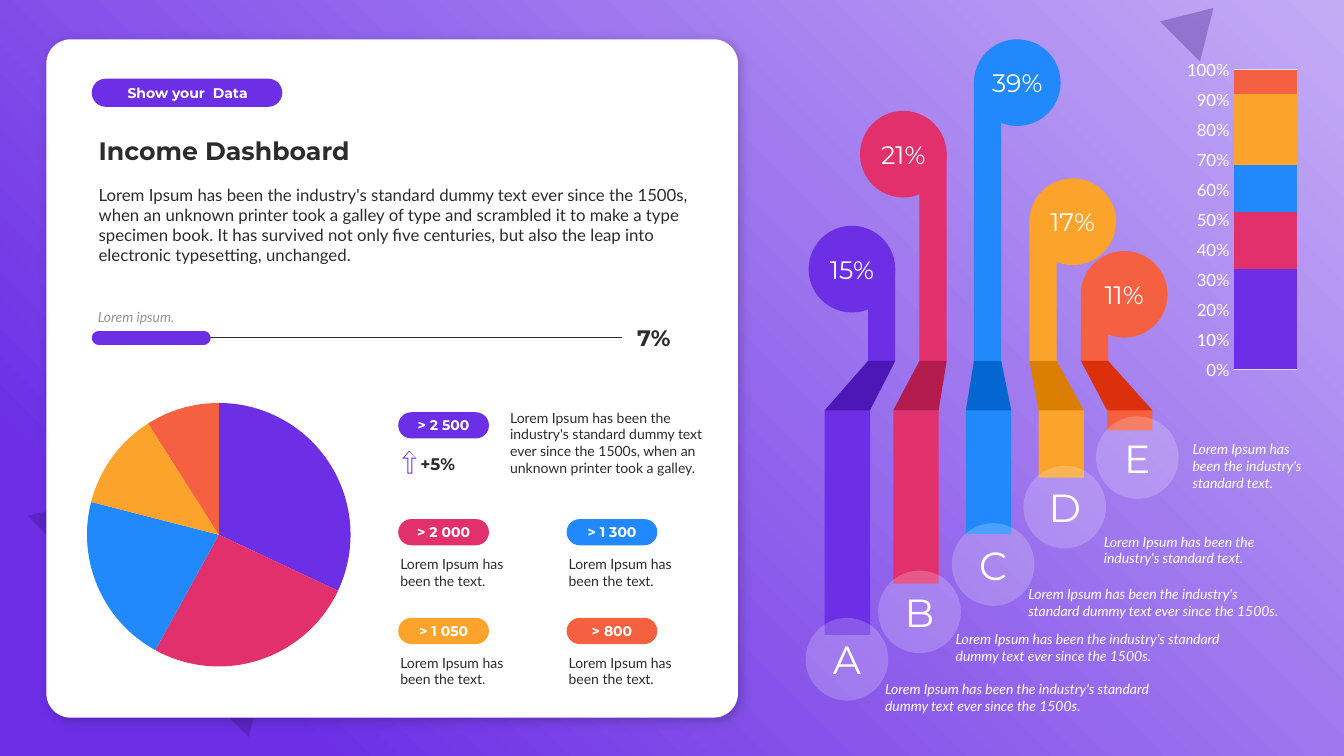
from dataclasses import dataclass

import pptx
import pptx.chart.data
import pptx.dml.color
import pptx.enum.chart
import pptx.enum.shapes
import pptx.enum.text
import pptx.oxml
import pptx.oxml.ns
import pptx.util

Inches = pptx.util.Inches
Pt = pptx.util.Pt
Shapes = pptx.enum.shapes.MSO_SHAPE
Anchor = pptx.enum.text.MSO_ANCHOR
Align = pptx.enum.text.PP_ALIGN
ChartType = pptx.enum.chart.XL_CHART_TYPE
qn = pptx.oxml.ns.qn

WHITE, DARK, GRAY = "FFFFFF", "2C2C2C", "969696"
PURPLE, PINK, BLUE, ORANGE, RED = "6C2FE5", "E1306C", "2189FB", "FCA32C", "F56040"
PALETTE = [PURPLE, PINK, BLUE, ORANGE, RED]
DEFAULT_INSETS = (0.1, 0.05, 0.1, 0.05)
NO_SIDE_INSETS = (0, 0.05, 0, 0.05)
SHORT_TEXT = "Lorem Ipsum has been the text."
DUMMY_TEXT = "Lorem Ipsum has been the industry's standard dummy text ever since the 1500s."
STANDARD_TEXT = "Lorem Ipsum has been the industry's standard text."
FOLD_TOP, FOLD_BOTTOM = 3.58, 4.07
UPPER_WIDTH, LOWER_WIDTH, BUBBLE, DISC = 0.27, 0.45, 0.86, 0.82


@dataclass
class Style:
    size: float
    font: str = "Lato"
    color: str = DARK
    bold: bool = False
    italic: bool = False


@dataclass
class Badge:
    label: str
    color: str
    left: float
    top: float


@dataclass
class Ribbon:
    letter: str
    percent: str
    color: str
    fold_color: str
    upper_left: float
    upper_top: float
    lower_left: float
    lower_bottom: float
    bubble: tuple[float, float]
    disc: tuple[float, float]
    note: str
    note_box: tuple[float, float, float, float]


BADGES = [
    Badge("> 2 500", PURPLE, 3.95, 4.09),
    Badge("> 2 000", PINK, 3.95, 5.15),
    Badge("> 1 300", BLUE, 5.62, 5.15),
    Badge("> 1 050", ORANGE, 3.95, 6.13),
    Badge("> 800", RED, 5.62, 6.13),
]
RIBBONS = [
    Ribbon("A", "15%", PURPLE, "4D17B8", 8.61, 2.67, 8.18, 6.3, (8.02, 2.24),
           (7.99, 6.13), DUMMY_TEXT, (8.68, 6.7, 3.05, 0.44)),
    Ribbon("B", "21%", PINK, "B31A4E", 9.12, 1.51, 8.86, 5.79, (8.53, 1.1),
           (8.71, 5.66), DUMMY_TEXT, (9.38, 6.21, 3.05, 0.44)),
    Ribbon("C", "39%", BLUE, "0466D1", 9.66, 0.83, 9.58, 5.3, (9.66, 0.39),
           (9.44, 5.19), DUMMY_TEXT, (10.1, 5.76, 2.71, 0.44)),
    Ribbon("D", "17%", ORANGE, "DB7F03", 10.21, 2.18, 10.3, 4.74, (10.21, 1.77),
           (10.15, 4.62), STANDARD_TEXT, (10.85, 5.24, 1.95, 0.44)),
    Ribbon("E", "11%", RED, "DC300C", 10.72, 2.86, 10.98, 4.27, (10.72, 2.49),
           (10.87, 4.13), STANDARD_TEXT, (11.73, 4.32, 1.43, 0.61)),
]


def rgb(color: str):
    return pptx.dml.color.RGBColor.from_string(color)


def drawing_xml(content: str):
    namespace = pptx.oxml.ns.nsdecls("a")
    return pptx.oxml.parse_xml(content.replace(">", f" {namespace}>", 1))


def paint(shape, color: str, opacity: int = 100) -> None:
    shape.shadow.inherit = False
    shape.fill.solid()
    shape.fill.fore_color.rgb = rgb(color)
    shape.line.fill.background()
    if opacity < 100:
        tone = shape.element.spPr.find(".//" + qn("a:srgbClr"))
        tone.append(drawing_xml(f'<a:alpha val="{opacity * 1000}"></a:alpha>'))


def style_font(font, style: Style) -> None:
    font.size, font.name = Pt(style.size), style.font
    font.bold, font.italic = style.bold, style.italic
    font.color.rgb = rgb(style.color)


def write(shape, text: str, style: Style, align=Align.LEFT, anchor=Anchor.TOP,
          insets=DEFAULT_INSETS, space_after: float = 0) -> None:
    frame = shape.text_frame
    frame.text = text
    frame.word_wrap = True
    frame.vertical_anchor = anchor
    (frame.margin_left, frame.margin_top,
     frame.margin_right, frame.margin_bottom) = map(Inches, insets)
    paragraph = frame.paragraphs[0]
    paragraph.alignment = align
    paragraph.space_after = Pt(space_after)
    style_font(paragraph.runs[0].font, style)


def add_text(slide, box, text: str, style: Style, **layout) -> None:
    shape = slide.shapes.add_textbox(*map(Inches, box))
    write(shape, text, style, **layout)
    shape.text_frame.auto_size = pptx.enum.text.MSO_AUTO_SIZE.SHAPE_TO_FIT_TEXT


def add_preset(slide, kind, box, color: str, opacity: int = 100, rotation: float = 0,
               corner: float | None = None):
    shape = slide.shapes.add_shape(kind, *map(Inches, box))
    paint(shape, color, opacity)
    shape.rotation = rotation
    if corner is not None:
        shape.adjustments[0] = corner
    return shape


def add_outline(slide, contours, color: str) -> None:
    # The builder rounds its units, so points are passed in EMU
    contours = [[(Inches(x), Inches(y)) for x, y in points] for points in contours]
    builder = slide.shapes.build_freeform(*contours[0][0])
    for number, points in enumerate(contours):
        if number:
            builder.move_to(*points[0])
        builder.add_line_segments(points[1:], close=True)
    paint(builder.convert_to_shape(), color)


def add_rule(slide, left: float, right: float, color: str, width: float, cap: str) -> None:
    ends = map(Inches, (left, 3.35, right, 3.35))
    rule = slide.shapes.add_connector(pptx.enum.shapes.MSO_CONNECTOR.STRAIGHT, *ends)
    rule.line.color.rgb = rgb(color)
    rule.line.width = Pt(width)
    rule.element.spPr.find(qn("a:ln")).set("cap", cap)
    rule.element.spPr.append(drawing_xml("<a:effectLst></a:effectLst>"))


def add_background(slide) -> None:
    backdrop = add_preset(slide, Shapes.RECTANGLE, (0, 0, 13.33, 7.5), PURPLE)
    properties = backdrop.element.spPr
    gradient = drawing_xml(
        '<a:gradFill rotWithShape="1"><a:gsLst>'
        '<a:gs pos="0"><a:srgbClr val="C4ACF5"/></a:gs>'
        f'<a:gs pos="85000"><a:srgbClr val="{PURPLE}"/></a:gs></a:gsLst>'
        '<a:path path="circle"><a:fillToRect l="100000" b="100000"/></a:path></a:gradFill>')
    properties.replace(properties.find(qn("a:solidFill")), gradient)
    for box in ((0.73, 4.02, 3.1, 2.57), (11.59, 0.01, 0.56, 0.47)):
        add_preset(slide, Shapes.ISOSCELES_TRIANGLE, box, "330F7B", 30, 45)


def add_card(slide) -> None:
    card = add_preset(slide, Shapes.ROUNDED_RECTANGLE, (0.46, 0.39, 6.86, 6.73), WHITE,
                      corner=0.036)
    card.element.spPr.find(qn("a:effectLst")).append(drawing_xml(
        '<a:outerShdw blurRad="101600" dist="38100" dir="2700000" algn="tl" rotWithShape="0">'
        '<a:srgbClr val="000000"><a:alpha val="20000"/></a:srgbClr></a:outerShdw>'))
    add_text(slide, (0.88, 1.78, 6.16, 0.91),
             "Lorem Ipsum has been the industry's standard dummy text ever since the 1500s, "
             "when an unknown printer took a galley of type and scrambled it to make a type "
             "specimen book. It has survived not only five centuries, but also the leap into "
             "electronic typesetting, unchanged.", Style(12), space_after=6)
    add_text(slide, (0.88, 1.29, 6.16, 0.4), "Income Dashboard",
             Style(18, "Montserrat", bold=True), anchor=Anchor.BOTTOM)
    add_preset(slide, Shapes.ROUNDED_RECTANGLE, (0.91, 0.78, 1.89, 0.28), PURPLE, corner=0.5)
    add_text(slide, (0.99, 0.79, 1.74, 0.27), "Show your  Data",
             Style(10, "Montserrat", WHITE, True), align=Align.CENTER, anchor=Anchor.MIDDLE)
    # Progress line
    add_rule(slide, 0.92, 6.17, DARK, 0.5, "flat")
    add_rule(slide, 0.98, 2.02, PURPLE, 10, "rnd")
    add_text(slide, (6.22, 3.16, 0.95, 0.37), "7%", Style(16, "Montserrat", bold=True),
             anchor=Anchor.MIDDLE)
    add_text(slide, (0.89, 3.01, 1.92, 0.27), "Lorem ipsum.", Style(10, color=GRAY, italic=True),
             anchor=Anchor.BOTTOM, insets=(0.08, 0.05, 0.1, 0.05))


def add_badges(slide) -> None:
    for badge in BADGES:
        pill = add_preset(slide, Shapes.ROUNDED_RECTANGLE, (badge.left, badge.top, 0.9, 0.26),
                          badge.color, corner=0.5)
        write(pill, badge.label, Style(10, "Montserrat", WHITE, True), Align.CENTER,
              Anchor.MIDDLE, (0, 0, 0, 0))
    for badge in BADGES[1:]:
        add_text(slide, (badge.left + 0.02, badge.top + 0.31, 1.31, 0.44), SHORT_TEXT, Style(10),
                 insets=NO_SIDE_INSETS)
    add_text(slide, (5.06, 4.01, 2.1, 0.77),
             "Lorem Ipsum has been the industry's standard dummy text ever since the 1500s, "
             "when an unknown printer took a galley.", Style(10), insets=NO_SIDE_INSETS)
    add_text(slide, (4.17, 4.45, 1.27, 0.3), "+5%", Style(12, "Montserrat", bold=True),
             insets=NO_SIDE_INSETS)
    # Hollow up arrow
    outer = [(4.06, 4.47), (4.13, 4.55), (4.09, 4.55), (4.09, 4.7), (4.04, 4.7), (4.04, 4.55),
             (3.99, 4.55)]
    inner = [(4.06, 4.48), (4.01, 4.54), (4.05, 4.54), (4.05, 4.69), (4.08, 4.69), (4.08, 4.54),
             (4.12, 4.54)]
    add_outline(slide, [outer, inner], PURPLE)


def add_chart(slide, kind, box, categories, series, style: Style):
    data = pptx.chart.data.CategoryChartData()
    data.categories = categories
    for number, values in enumerate(series, 1):
        data.add_series(f"Series {number}", values)
    chart = slide.shapes.add_chart(kind, *map(Inches, box), data).chart
    chart.has_legend = chart.has_title = False
    style_font(chart.font, style)
    return chart


def add_charts(slide) -> None:
    pie = add_chart(slide, ChartType.PIE, (0.6, 3.86, 3.14, 2.89), list("12345"),
                    [(32, 26, 21, 12, 9)], Style(10))
    column = add_chart(slide, ChartType.COLUMN_STACKED_100, (11.75, 0.53, 1.14, 3.3), ["1"],
                       [(34,), (19,), (16,), (24,), (8,)], Style(12, color=WHITE))
    plot = column.plots[0]
    plot.gap_width, plot.overlap, plot.vary_by_categories = 0, 100, False
    slices = [pie.plots[0].series[0].points[index] for index in range(len(PALETTE))]
    for color, pie_slice, layer in zip(PALETTE, slices, plot.series):
        for part in (pie_slice, layer):
            part.format.fill.solid()
            part.format.fill.fore_color.rgb = rgb(color)
    column.category_axis.visible = False
    axis = column.value_axis
    axis.major_tick_mark = pptx.enum.chart.XL_TICK_MARK.NONE
    axis.format.line.fill.background()
    axis.major_gridlines.format.line.color.rgb = rgb("DFDFDF")
    axis.major_gridlines.format.line.width = Pt(0.75)
    axis.tick_labels.number_format = "0%"
    axis.tick_labels.number_format_is_linked = False


def add_ribbons(slide) -> None:
    for ribbon in RIBBONS:
        upper, lower = ribbon.upper_left, ribbon.lower_left
        add_preset(slide, Shapes.RECTANGLE, (upper, ribbon.upper_top, UPPER_WIDTH,
                                             FOLD_TOP - ribbon.upper_top), ribbon.color)
        add_preset(slide, Shapes.RECTANGLE, (lower, FOLD_BOTTOM, LOWER_WIDTH,
                                             ribbon.lower_bottom - FOLD_BOTTOM), ribbon.color)
        add_outline(slide, [[(upper, FOLD_TOP), (upper + UPPER_WIDTH, FOLD_TOP),
                             (lower + LOWER_WIDTH, FOLD_BOTTOM), (lower, FOLD_BOTTOM)]],
                    ribbon.fold_color)
    # Percentages, back to front from the right
    for ribbon in reversed(RIBBONS):
        bubble = add_preset(slide, Shapes.OVAL, (*ribbon.bubble, BUBBLE, BUBBLE), ribbon.color)
        write(bubble, ribbon.percent, Style(18, "Montserrat", WHITE), Align.CENTER,
              Anchor.MIDDLE, NO_SIDE_INSETS)
    # Letters and notes
    for ribbon in RIBBONS:
        disc = add_preset(slide, Shapes.OVAL, (*ribbon.disc, DISC, DISC), WHITE, 20)
        write(disc, ribbon.letter, Style(28, "Montserrat", WHITE), Align.CENTER, Anchor.MIDDLE)
        add_text(slide, ribbon.note_box, ribbon.note, Style(10, color=WHITE, italic=True),
                 space_after=6)


def main() -> None:
    presentation = pptx.Presentation()
    presentation.slide_width, presentation.slide_height = Inches(13.33), Inches(7.5)
    slide = presentation.slides.add_slide(presentation.slide_layouts[6])
    for draw in (add_background, add_card, add_badges, add_ribbons, add_charts):
        draw(slide)
    presentation.save("out.pptx")


if __name__ == "__main__":
    main()
